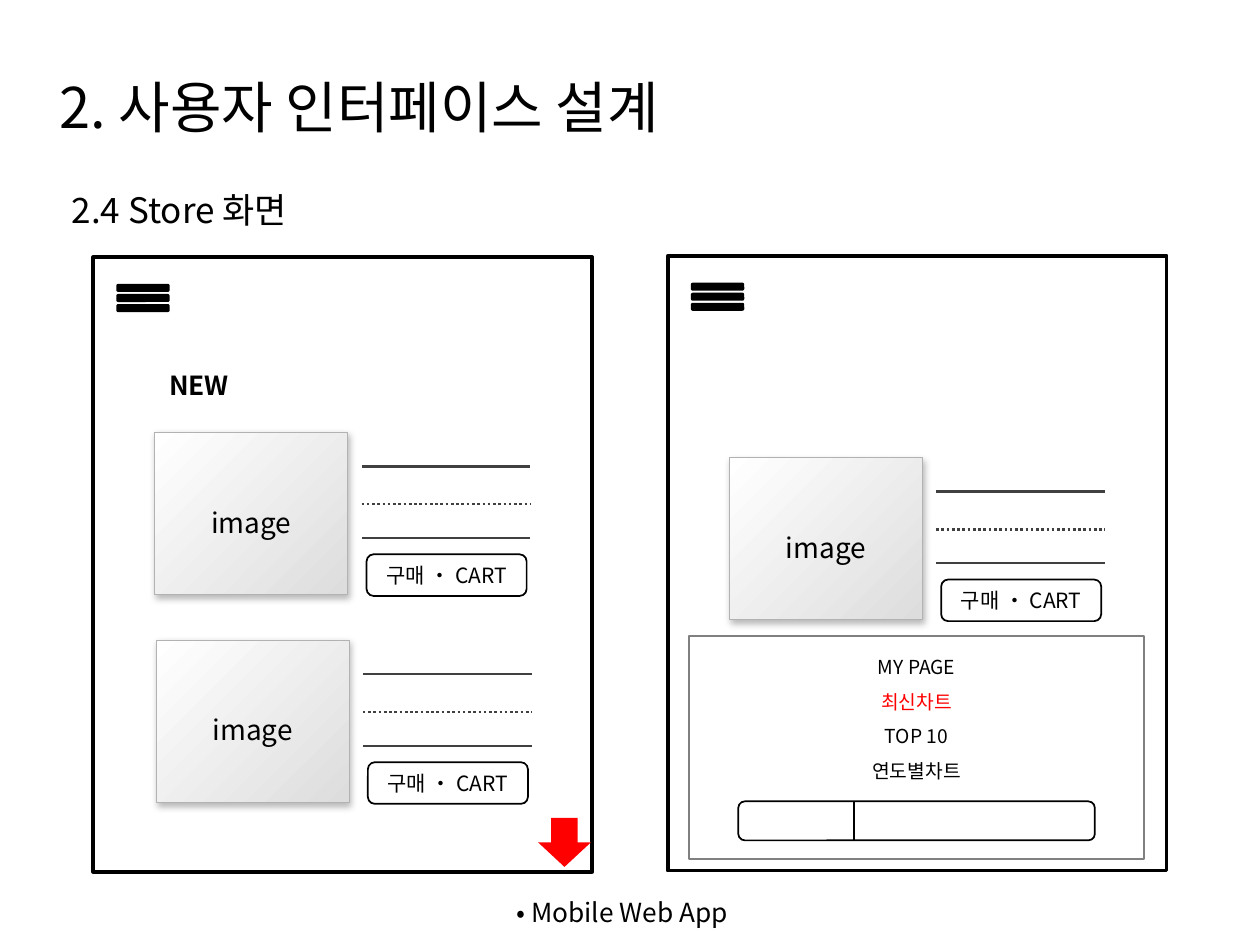
"""Builds the store screen wireframe slide."""
from lxml.etree import SubElement
from pptx import Presentation
from pptx.dml.color import RGBColor
from pptx.enum.dml import MSO_LINE_DASH_STYLE as Dash
from pptx.enum.shapes import MSO_CONNECTOR as Connector, MSO_SHAPE as Shape
from pptx.enum.text import MSO_ANCHOR as Anchor, MSO_AUTO_SIZE as AutoSize, PP_ALIGN as Align
from pptx.oxml.ns import qn
from pptx.util import Inches, Pt

COLORS = {
    "black": "000000", "white": "FFFFFF", "red": "FF0000", "rule": "404040",
    "frame": "808080", "edge": "B2B2B2", "shade": "DDDDDD",
}
FONT = "Noto Sans CJK KR"


def color(name):
    return RGBColor.from_string(COLORS[name])


def write(box, text, size, colors=("black",), bold=False, align=Align.LEFT,
          anchor=Anchor.TOP, spacing=1.0, insets=(0.1, 0.05, 0.1, 0.05), wrap=True):
    frame = box.text_frame
    frame.auto_size = AutoSize.NONE
    frame.word_wrap = wrap
    frame.vertical_anchor = anchor
    frame.margin_left, frame.margin_top, frame.margin_right, frame.margin_bottom = map(Inches, insets)
    for index, line in enumerate(text.split("\n")):
        para = frame.add_paragraph() if index else frame.paragraphs[0]
        para.alignment, para.line_spacing = align, spacing
        span = para.add_run()
        span.text = line
        font = span.font
        font.name, font.size, font.bold = FONT, Pt(size), bold
        font.color.rgb = color(colors[index % len(colors)])
        SubElement(font._element, qn("a:ea"), typeface=FONT)


class Wireframe:
    def __init__(self, page):
        self.page = page
        self.shapes = page.shapes

    def group(self):
        self.shapes = self.page.shapes.add_group_shape().shapes

    def ungroup(self):
        self.shapes = self.page.shapes

    def title(self, text, x, y, width, height):
        box = self.page.shapes.title
        box.left, box.top, box.width, box.height = map(Inches, (x, y, width, height))
        write(box, text, 32, anchor=Anchor.MIDDLE, insets=(0, 0.05, 0, 0.05))

    def label(self, text, x, y, width, height, size, **style):
        box = self.shapes.add_textbox(*map(Inches, (x, y, width, height)))
        write(box, text, size, wrap=False, **style)

    def shape(self, kind, x, y, width, height, fill=None, line="black", weight=1):
        box = self.shapes.add_shape(kind, *map(Inches, (x, y, width, height)))
        box.shadow.inherit = False
        if fill:
            box.fill.solid()
            box.fill.fore_color.rgb = color(fill)
        else:
            box.fill.background()
        if line:
            box.line.color.rgb = color(line)
            box.line.width = Pt(weight)
        else:
            box.line.fill.background()
        return box

    def line(self, x1, y1, x2, y2, ink="black", weight=1, dash=None):
        rule = self.shapes.add_connector(Connector.STRAIGHT, *map(Inches, (x1, y1, x2, y2)))
        rule.line.color.rgb = color(ink)
        rule.line.width = Pt(weight)
        if dash:
            rule.line.dash_style = dash
        SubElement(rule._element.spPr, qn("a:effectLst"))

    def screen(self, x, y):
        self.group()
        self.shape(Shape.RECTANGLE, x, y, 3.96, 4.88, weight=2)
        for row in range(3):
            self.shape(Shape.ROUNDED_RECTANGLE, x + 0.19, y + 0.22 + 0.08 * row, 0.41, 0.05, "black")
        self.ungroup()

    def thumbnail(self, x, y):
        box = self.shape(Shape.ROUNDED_RECTANGLE, x, y, 1.53, 1.29, line="edge", weight=0.5)
        box.adjustments[0] = 0
        box.fill.gradient()
        box.fill.gradient_angle = 315
        for stop, name, place in zip(box.fill.gradient_stops, ("white", "shade"), (0, 1)):
            stop.color.rgb, stop.position = color(name), place
        effects = box._element.spPr.find(qn("a:effectLst"))
        shadow = SubElement(effects, qn("a:outerShdw"), blurRad=str(Pt(4)), dist=str(Pt(2)),
                            dir=str(67 * 60000), rotWithShape="0")
        tint = SubElement(shadow, qn("a:srgbClr"), val=COLORS["black"])
        SubElement(tint, qn("a:alpha"), val="28000")
        write(box, "image", 16, align=Align.CENTER, anchor=Anchor.MIDDLE, spacing=1.5,
              insets=(0.08,) * 4, wrap=False)

    def product(self, x, y):
        self.group()
        self.thumbnail(x, y)
        for drop, dash in ((0.27, None), (0.57, Dash.ROUND_DOT), (0.84, None)):
            self.line(x + 1.64, y + drop, x + 2.98, y + drop, "rule", 1.5, dash)
        button = self.shape(Shape.ROUNDED_RECTANGLE, x + 1.68, y + 0.97, 1.27, 0.33, "white")
        write(button, "구매 • CART", 12, align=Align.CENTER, anchor=Anchor.MIDDLE)
        self.ungroup()

    def menu(self, x, y, items, colors):
        panel = self.shape(Shape.RECTANGLE, x, y, 3.61, 1.77, "white", "frame")
        write(panel, "\n".join(items), 11, colors, align=Align.CENTER, anchor=Anchor.MIDDLE,
              spacing=1.5, insets=(0.1, 0.05, 0.1, 0.6))

    def search_bar(self, x, y):
        self.group()
        self.shape(Shape.ROUNDED_RECTANGLE, x, y, 2.83, 0.31, "white")
        self.line(x + 0.92, y, x + 0.92, y + 0.31)
        self.ungroup()


def main():
    deck = Presentation()
    deck.slide_width, deck.slide_height = Inches(10), Inches(7.5)
    store = Wireframe(deck.slides.add_slide(deck.slide_layouts[5]))
    store.title("2. 사용자 인터페이스 설계", 0.47, 0.51, 7.73, 0.66)
    store.label("2.4 Store 화면", 0.47, 1.45, 1.98, 0.44, 20)
    store.screen(0.74, 2.04)
    store.screen(5.3, 2.03)
    store.shape(Shape.DOWN_ARROW, 4.27, 6.49, 0.42, 0.39, "red", None)
    store.label("• Mobile Web App", 4, 6.94, 2, 0.43, 15, spacing=1.5)
    store.label("NEW", 1.23, 2.88, 0.7, 0.35, 15, bold=True, align=Align.CENTER)
    store.product(1.23, 3.43)
    store.product(1.24, 5.08)
    store.menu(5.47, 5.05, ("MY PAGE", "최신차트", "TOP 10", "연도별차트"),
               ("black", "red", "black", "black"))
    store.product(5.79, 3.63)
    store.search_bar(5.86, 6.36)
    deck.save("out.pptx")


if __name__ == "__main__":
    main()
